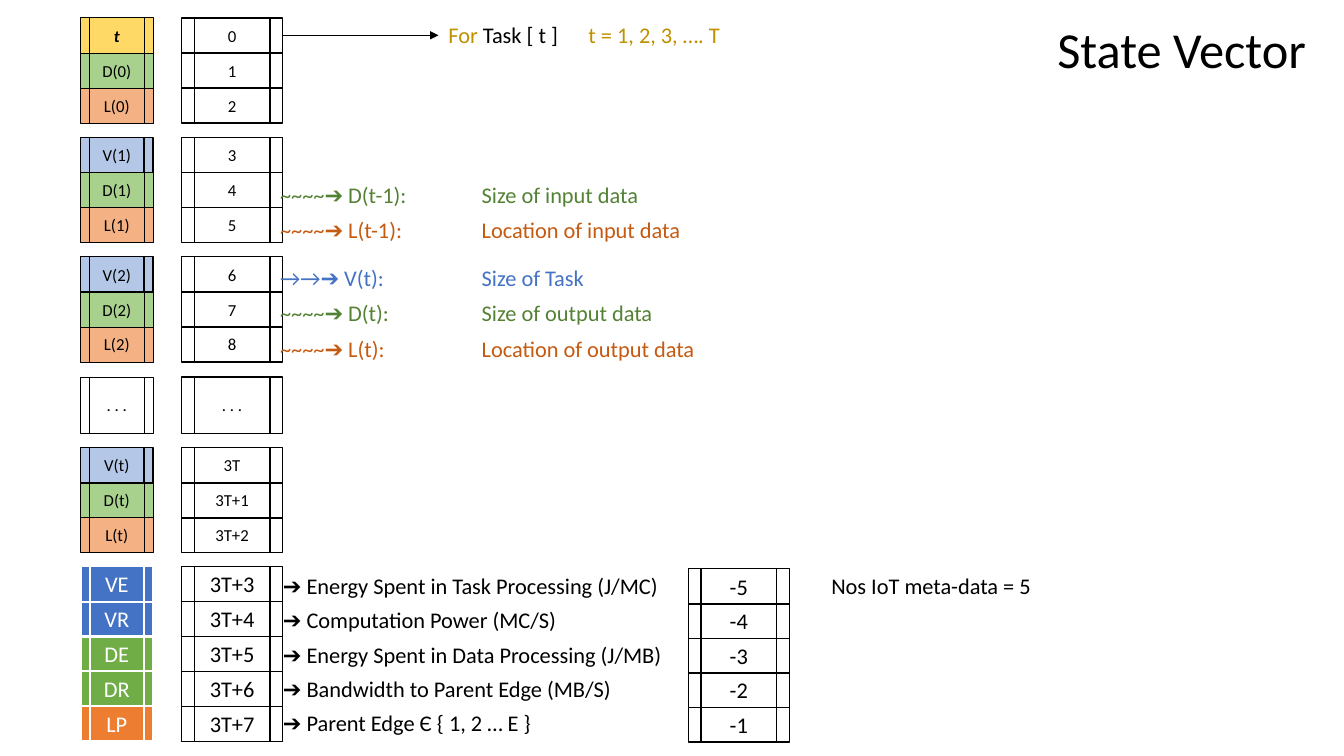
from dataclasses import dataclass

from lxml.etree import SubElement
from pptx import Presentation
from pptx.dml.color import RGBColor
from pptx.enum.shapes import MSO_CONNECTOR, MSO_SHAPE
from pptx.enum.text import MSO_ANCHOR, MSO_AUTO_SIZE, PP_ALIGN
from pptx.oxml.ns import qn
from pptx.util import Cm, Pt

FONT = "Calibri"
BLACK, WHITE = "000000", "FFFFFF"
GOLD, PALE_BLUE, PALE_GREEN, PALE_ORANGE = "FFD966", "B4C7E7", "A9D18E", "F4B183"
BLUE, GREEN, ORANGE = "4472C4", "70AD47", "ED7D31"
DARK_GOLD, DARK_GREEN, DARK_ORANGE = "BF9000", "548235", "C55A11"

# Columns and row rhythm, in centimetres
LABEL_X, LABEL_W = 2.03, 1.83
INDEX_X, INDEX_W = 4.58, 2.54
OFFSET_X = 17.35
ROW_H, ROW_STEP = 0.89, 0.88
META_TOP = 14.27


@dataclass
class Cell:
    text: str
    fill: str = WHITE
    color: str = BLACK
    size: int = 12
    line: str = BLACK
    line_w: float = 1


@dataclass
class Note:
    x: float
    y: float
    w: float
    runs: list[tuple[str, str]]
    tab: float = 0


def rgb(value: str) -> RGBColor:
    return RGBColor.from_string(value)


def style(r, size: int, color: str) -> None:
    r.font.name = FONT
    r.font.size = Pt(size)
    r.font.color.rgb = rgb(color)


def add_cell(s, cell: Cell, x: float, y: float, w: float, h: float = ROW_H):
    sp = s.shapes.add_shape(MSO_SHAPE.FLOWCHART_PREDEFINED_PROCESS, Cm(x), Cm(y), Cm(w), Cm(h))
    sp.shadow.inherit = False
    sp.fill.solid()
    sp.fill.fore_color.rgb = rgb(cell.fill)
    sp.line.color.rgb = rgb(cell.line)
    sp.line.width = Pt(cell.line_w)
    tf = sp.text_frame
    tf.text = cell.text
    tf.vertical_anchor = MSO_ANCHOR.MIDDLE
    p = tf.paragraphs[0]
    p.alignment = PP_ALIGN.CENTER
    style(p.runs[0], cell.size, cell.color)
    return sp


def add_stack(s, cells: list[Cell], x: float, top: float, w: float, step: float = ROW_STEP) -> list:
    """Draw from the bottom up, so that each cell's lower edge lies on top."""
    rows = reversed(list(enumerate(cells)))
    return [add_cell(s, cell, x, top + i * step, w) for i, cell in rows][::-1]


def add_note(shapes, note: Note) -> None:
    tf = shapes.add_textbox(Cm(note.x), Cm(note.y), Cm(note.w), Cm(0.94)).text_frame
    tf.word_wrap = True
    tf.auto_size = MSO_AUTO_SIZE.SHAPE_TO_FIT_TEXT
    p = tf.paragraphs[0]
    for text, color in note.runs:
        r = p.add_run()
        r.text = text
        style(r, 16, color)
    if note.tab:
        tabs = SubElement(p._p.get_or_add_pPr(), qn("a:tabLst"))
        SubElement(tabs, qn("a:tab"), pos=str(int(Cm(note.tab))), algn="l")


prs = Presentation()
prs.slide_width, prs.slide_height = Cm(33.87), Cm(19.05)
s = prs.slides.add_slide(prs.slide_layouts[5])

# Title
title = s.shapes.title
title.left, title.top, title.width, title.height = Cm(26.39), Cm(0.33), Cm(6.83), Cm(1.8)
tf = title.text_frame
tf.text = "State Vector"
tf.word_wrap = False
tf.auto_size = MSO_AUTO_SIZE.SHAPE_TO_FIT_TEXT
tf.vertical_anchor = MSO_ANCHOR.TOP
p = tf.paragraphs[0]
p.alignment = PP_ALIGN.LEFT
style(p.runs[0], 36, BLACK)

# Task blocks: labels and their indices
blocks = [
    (0.45, "0", ["0", "1", "2"]),
    (3.46, "1", ["3", "4", "5"]),
    (6.47, "2", ["6", "7", "8"]),
    (11.28, "t", ["3T", "3T+1", "3T+2"]),
]
for top, step, indices in blocks:
    first = step == "0"
    head = Cell("t", GOLD, line_w=0.5) if first else Cell(f"V({step})", PALE_BLUE)
    labels = [head, Cell(f"D({step})", PALE_GREEN, line_w=0.5),
              Cell(f"L({step})", PALE_ORANGE, line_w=0.5)]
    cells = add_stack(s, labels, LABEL_X, top, LABEL_W)
    if first:
        font = cells[0].text_frame.paragraphs[0].runs[0].font
        font.bold = font.italic = True
    add_stack(s, [Cell(i) for i in indices], INDEX_X, top, INDEX_W)

# Omitted tasks
add_cell(s, Cell(". . .", line_w=0.5), LABEL_X, 9.5, LABEL_W, 1.42)
add_cell(s, Cell(". . ."), INDEX_X, 9.5, INDEX_W, 1.42)

# Device meta-data: labels, indices and offsets from the end
meta = [("VE", BLUE), ("VR", BLUE), ("DE", GREEN), ("DR", GREEN), ("LP", ORANGE)]
count = len(meta)
add_stack(s, [Cell(text, fill, WHITE, 16, WHITE, 1.5) for text, fill in meta],
          LABEL_X, META_TOP, LABEL_W)
add_stack(s, [Cell(f"3T+{i + 3}", size=16) for i in range(count)], INDEX_X, META_TOP, INDEX_W)
add_stack(s, [Cell(str(i - count), size=16) for i in range(count)],
          OFFSET_X, 14.33, INDEX_W, 0.87)

# Arrow from index 0 to the task caption
arrow = s.shapes.add_connector(MSO_CONNECTOR.STRAIGHT, Cm(7.12), Cm(0.89), Cm(11.05), Cm(0.89))
arrow.line.color.rgb = rgb(BLACK)
arrow.line.width = Pt(0.5)
SubElement(arrow.line._get_or_add_ln(), qn("a:tailEnd"), type="triangle")
SubElement(arrow._element.spPr, qn("a:effectLst"))
add_note(s.shapes, Note(11.05, 0.41, 9.25, [
    ("For ", DARK_GOLD), ("Task [ t ]\t", BLACK), ("t = 1, 2, 3, …. T", DARK_GOLD)], tab=3.53))

# Legend of the task variables
legend = [
    (4.45, "~~~~➔ D(t-1):", "Size of input data", DARK_GREEN),
    (5.33, "~~~~➔ L(t-1):", "Location of input data", DARK_ORANGE),
    (6.53, "→→➔ V(t):", "Size of Task", BLUE),
    (7.42, "~~~~➔ D(t):", "Size of output data", DARK_GREEN),
    (8.33, "~~~~➔ L(t):", "Location of output data", DARK_ORANGE),
]
group = s.shapes.add_group_shape()
for y, symbol, meaning, color in legend:
    add_note(group.shapes, Note(6.81, y, 14, [(f"{symbol}\t{meaning}", color)], tab=5.08))

# Meta-data descriptions
descriptions = [
    "Energy Spent in Task Processing (J/MC)",
    "Computation Power (MC/S)",
    "Energy Spent in Data Processing (J/MB)",
    "Bandwidth to Parent Edge (MB/S)",
    "Parent Edge Є { 1, 2 … E }",
]
for i, text in enumerate(descriptions):
    add_note(s.shapes, Note(6.88, 14.3 + i * 0.86, 10.9, [(f"➔ {text}", BLACK)]))
add_note(s.shapes, Note(20.7, 14.3, 5.66, [("Nos IoT meta-data = 5", BLACK)]))

prs.save("out.pptx")
